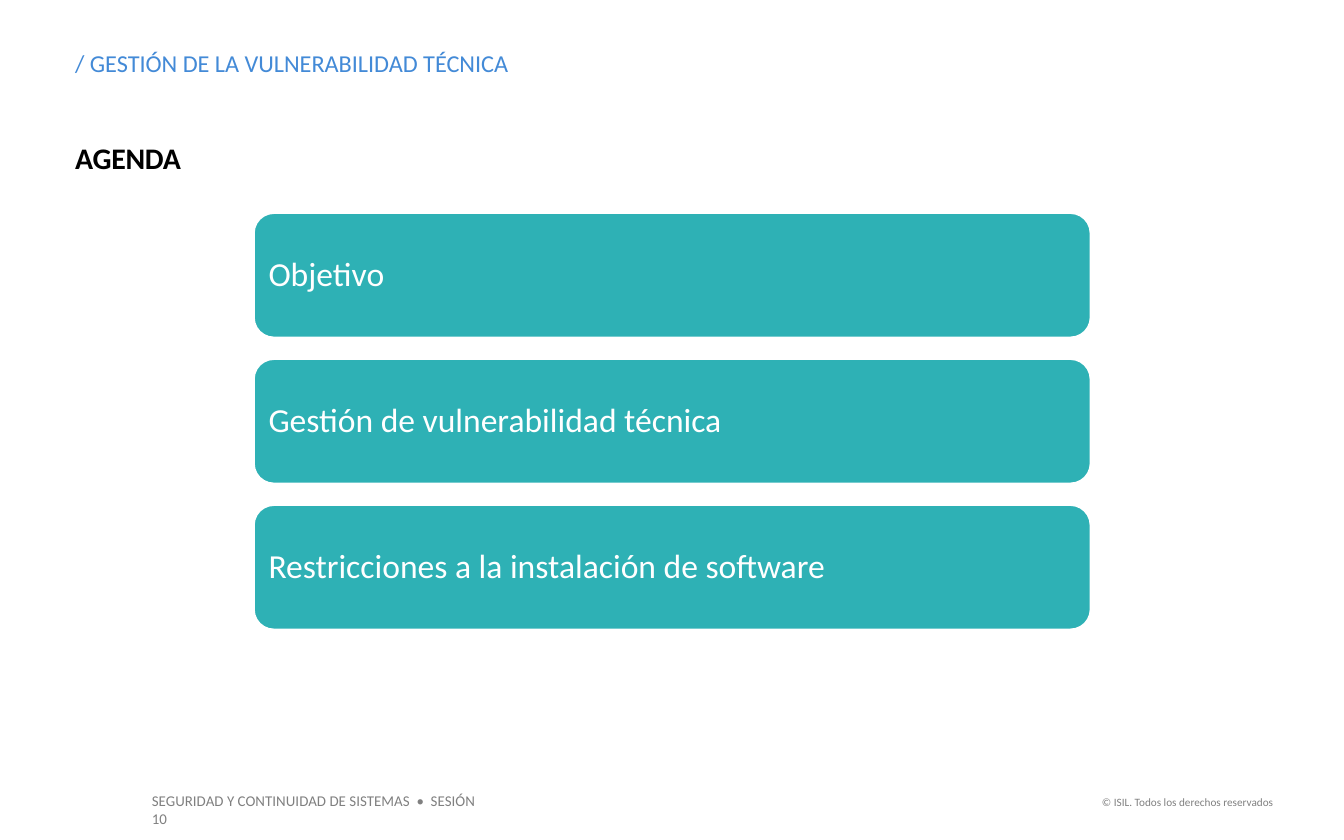
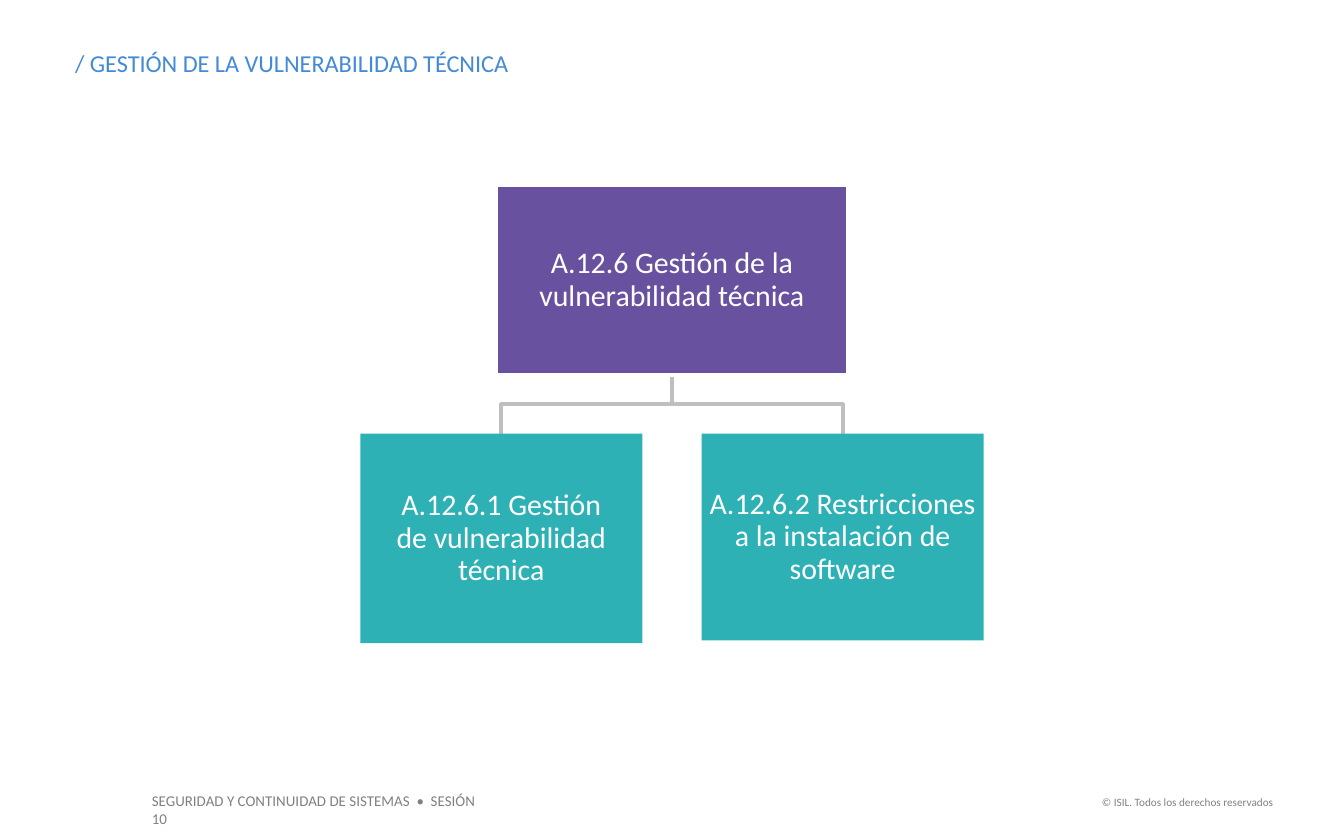
import dataclasses

import pptx
import pptx.dml.color
import pptx.enum.shapes
import pptx.enum.text
import pptx.util

Cm = pptx.util.Cm
Pt = pptx.util.Pt
RGB = pptx.dml.color.RGBColor.from_string
SHAPE = pptx.enum.shapes.MSO_SHAPE
ALIGN = pptx.enum.text.PP_ALIGN
ANCHOR = pptx.enum.text.MSO_ANCHOR
FIT = pptx.enum.text.MSO_AUTO_SIZE


@dataclasses.dataclass(frozen=True)
class Theme:
    font: str = "Calibri"
    white: str = "FFFFFF"
    black: str = "000000"
    blue: str = "438AD7"
    teal: str = "2EB1B5"
    purple: str = "68529F"
    gray: str = "808080"
    silver: str = "BFBFBF"
    title: int = 13
    heading: int = 16
    bar: int = 18
    node: int = 16
    footer: int = 8
    rights: int = 6
    outline: float = 2
    branch: float = 2.25


def apply(obj, formats):
    for name, value in formats.items():
        setattr(obj, name, value)


def margins(x, y):
    return {"margin_left": Cm(x), "margin_right": Cm(x),
            "margin_top": Cm(y), "margin_bottom": Cm(y)}


class Deck:
    def __init__(self, theme):
        self.theme = theme
        self.prs = pptx.Presentation()
        apply(self.prs, {"slide_width": Cm(25.4), "slide_height": Cm(15.88)})
        self.s = None

    def set_text(self, sp, text, size, color, inset=(0, 0), anchor=ANCHOR.TOP,
                 align=ALIGN.LEFT, spacing=1.0, bold=False, spc=None):
        tf = sp.text_frame
        apply(tf, {"word_wrap": True, "auto_size": FIT.NONE,
                   "vertical_anchor": anchor, **margins(*inset)})
        p = tf.paragraphs[0]
        p.text = text
        apply(p, {"alignment": align, "line_spacing": spacing})
        for r in p.runs:
            apply(r.font, {"name": self.theme.font, "size": Pt(size), "bold": bold})
            r.font.color.rgb = RGB(color)
            if spc is not None:
                r.font._element.set("spc", str(spc))

    def slide(self, title):
        t = self.theme
        self.s = self.prs.slides.add_slide(self.prs.slide_layouts[5])
        sp = self.s.shapes.title
        apply(sp, {"left": Cm(1.42), "top": Cm(0.91),
                   "width": Cm(16.76), "height": Cm(0.56)})
        self.set_text(sp, title, t.title, t.blue)
        self.text((2.62, 14.83, 6.96, 0.61),
                  "SEGURIDAD Y CONTINUIDAD DE SISTEMAS  •  SESIÓN 10",
                  t.footer, t.gray, inset=(0.25, 0.13))
        self.text((20.5, 14.91, 3.81, 0.51), "© ISIL. Todos los derechos reservados",
                  t.rights, t.gray, inset=(0.25, 0.13), align=ALIGN.RIGHT)

    def text(self, box, text, size, color, **formats):
        sp = self.s.shapes.add_textbox(*map(Cm, box))
        self.set_text(sp, text, size, color, **formats)

    def block(self, kind, box, text, size, fill, outlined=True, **formats):
        sp = self.s.shapes.add_shape(kind, *map(Cm, box))
        sp.shadow.inherit = False
        sp.fill.solid()
        sp.fill.fore_color.rgb = RGB(fill)
        if outlined:
            sp.line.color.rgb = RGB(self.theme.white)
            sp.line.width = Pt(self.theme.outline)
        else:
            sp.line.fill.background()
        self.set_text(sp, text, size, self.theme.white, anchor=ANCHOR.MIDDLE,
                      spacing=0.9, **formats)

    def bar(self, box, text):
        self.block(SHAPE.ROUNDED_RECTANGLE, box, text, self.theme.bar,
                   self.theme.teal, inset=(0.18, 0.18))

    def node(self, box, text, fill, outlined=False):
        self.block(SHAPE.RECTANGLE, box, text, self.theme.node, fill, outlined,
                   inset=(0.03, 0.03), align=ALIGN.CENTER)

    def branch(self, parent, child):
        x1, y1 = parent[0] + parent[2] / 2, parent[1] + parent[3]
        x2, y2 = child[0] + child[2] / 2, child[1]
        middle = (y1 + y2) / 2
        points = [(Cm(x), Cm(y)) for x, y in ((x1, middle), (x2, middle), (x2, y2))]
        builder = self.s.shapes.build_freeform(Cm(x1), Cm(y1))
        builder.add_line_segments(points, close=False)
        sp = builder.convert_to_shape()
        sp.shadow.inherit = False
        sp.fill.background()
        sp.line.color.rgb = RGB(self.theme.silver)
        sp.line.width = Pt(self.theme.branch)


def agenda(deck, title):
    t = deck.theme
    deck.slide(title)
    deck.text((1.42, 2.64, 22.68, 0.69), "AGENDA", t.heading, t.black,
              bold=True, spc=-10)
    topics = ("Objetivo", "Gestión de vulnerabilidad técnica",
              "Restricciones a la instalación de software")
    for i, topic in enumerate(topics):
        deck.bar((4.78, 4.01 + 2.76 * i, 15.85, 2.39), topic)


def controls(deck, title):
    t = deck.theme
    deck.slide(title)
    root = (9.38, 3.51, 6.64, 3.58)
    children = (
        ((6.81, 8.2, 5.33, 3.96), "A.12.6.1 Gestión\vde vulnerabilidad técnica"),
        ((13.26, 8.2, 5.33, 3.91), "A.12.6.2 Restricciones a la instalación de software"),
    )
    for box, _ in reversed(children):
        deck.branch(root, box)
    deck.node(root, "A.12.6 Gestión de la vulnerabilidad técnica", t.purple, True)
    for box, text in children:
        deck.node(box, text, t.teal)


def main():
    deck = Deck(Theme())
    title = "/ GESTIÓN DE LA VULNERABILIDAD TÉCNICA"
    agenda(deck, title)
    controls(deck, title)
    deck.prs.save("out.pptx")


if __name__ == "__main__":
    main()
